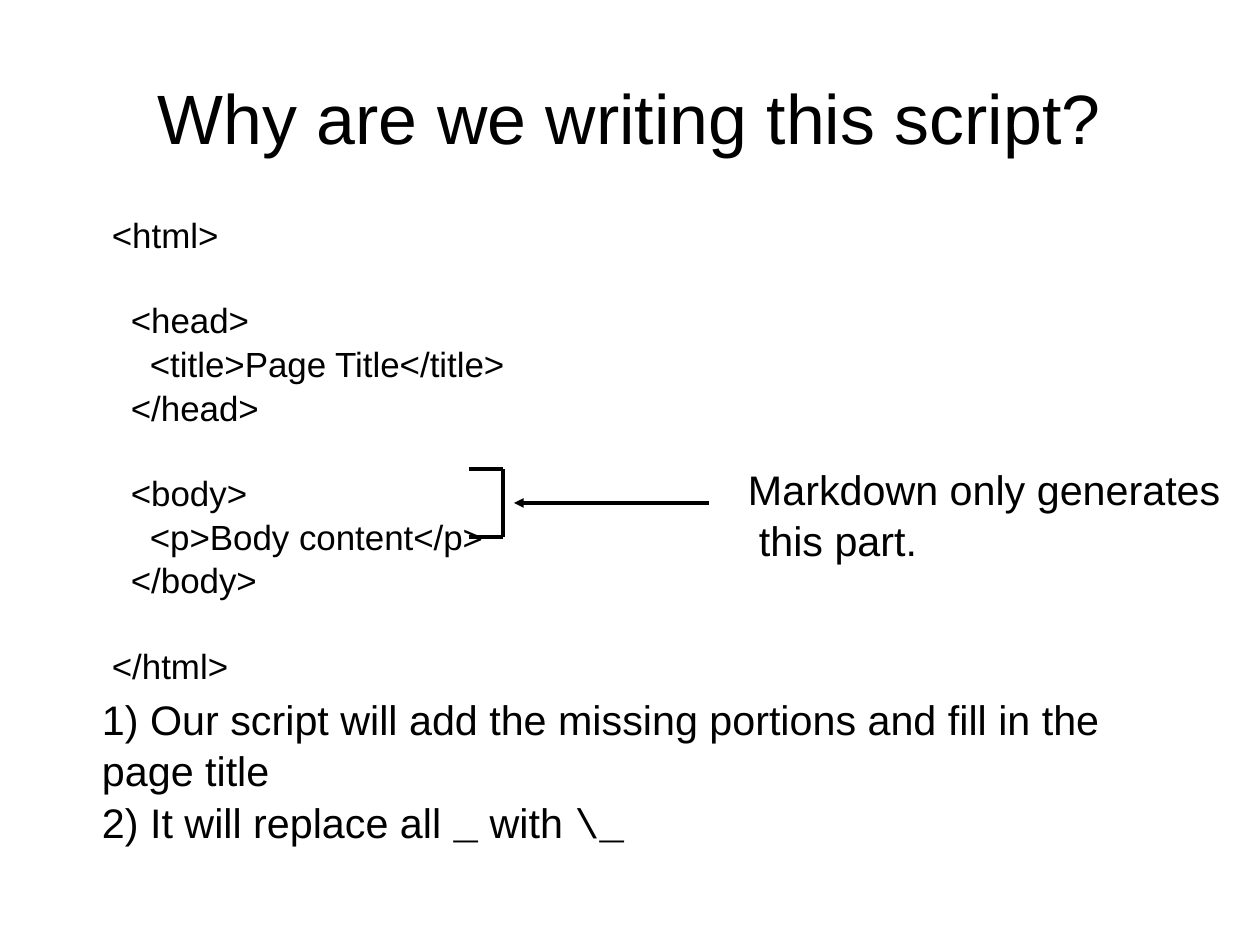
from pptx import Presentation
from pptx.dml.color import RGBColor
from pptx.enum.shapes import MSO_CONNECTOR
from pptx.enum.text import MSO_ANCHOR, MSO_AUTO_SIZE, PP_ALIGN
from pptx.oxml.ns import qn
from pptx.util import Emu, Pt
from lxml import etree

STRAIGHT = MSO_CONNECTOR.STRAIGHT
TOP, MIDDLE = MSO_ANCHOR.TOP, MSO_ANCHOR.MIDDLE
GROW = MSO_AUTO_SIZE.SHAPE_TO_FIT_TEXT
LEFT, CENTER = PP_ALIGN.LEFT, PP_ALIGN.CENTER

BLACK = RGBColor(0, 0, 0)
WHITE = RGBColor(255, 255, 255)
SANS, MONO = "Arial", "Courier New"
TITLE_PT, CODE_PT, BODY_PT = 44, 22, 26
LINE_SPACING = 1.04
BLANK_LINE = 1.2  # height of a line relative to its font size
SCALE = 914400 / 114.3


def px(n):
    """Turn pixels into EMU."""
    return Emu(round(n * SCALE))


class Deck:
    """Holds the style and the current slide."""

    def __init__(self, width, height):
        """Start a one-slide presentation with title and body."""
        self.prs = Presentation()
        self.prs.slide_width, self.prs.slide_height = px(width), px(height)
        self.s = self.prs.slides.add_slide(self.prs.slide_layouts[1])
        self.s.background.fill.solid()
        self.s.background.fill.fore_color.rgb = WHITE

    def place(self, sp, box):
        """Move a shape to a left, top, width, height box."""
        sp.left, sp.top, sp.width, sp.height = map(px, box)

    def frame(self, tf, inset=(11, 6), anchor=TOP, wrap=True):
        """Set the margins, anchor and wrapping of a text frame."""
        tf.margin_left = tf.margin_right = px(inset[0])
        tf.margin_top = tf.margin_bottom = px(inset[1])
        tf.vertical_anchor = anchor
        tf.word_wrap = wrap
        tf.auto_size = GROW

    def paragraph(self, tf, i, runs, size, align=LEFT, indent=0, before=0,
                  spacing=LINE_SPACING):
        """Write paragraph i from (text, font) runs."""
        p = tf.add_paragraph() if i else tf.paragraphs[0]
        p.alignment = align
        p.line_spacing = spacing
        p.space_before, p.space_after = Pt(before), Pt(0)
        pPr = p._p.get_or_add_pPr()
        pPr.set("marL", str(px(indent)))
        pPr.set("indent", "0")
        etree.SubElement(pPr, qn("a:buNone"))
        for text, font in runs:
            r = p.add_run()
            r.text = text
            r.font.name, r.font.size = font, Pt(size)
            r.font.color.rgb = BLACK

    def title(self, box, text):
        """Fill the title placeholder."""
        sp = self.s.shapes.title
        self.place(sp, box)
        self.frame(sp.text_frame, (0, 0), MIDDLE)
        self.paragraph(sp.text_frame, 0, [(text, SANS)], TITLE_PT, CENTER,
                       spacing=1.0)

    def body(self, box, items):
        """Fill the body placeholder, one list of runs per item."""
        sp = self.s.placeholders[1]
        self.place(sp, box)
        self.frame(sp.text_frame)
        for i, runs in enumerate(items):
            self.paragraph(sp.text_frame, i, runs, BODY_PT)

    def text(self, box, lines, size, wrap=True):
        """Add a text box from (text, indent, blank lines before) rows."""
        tf = self.s.shapes.add_textbox(*map(px, box)).text_frame
        self.frame(tf, wrap=wrap)
        for i, (text, indent, blanks) in enumerate(lines):
            self.paragraph(tf, i, [(text, SANS)], size, indent=indent,
                           before=blanks * size * BLANK_LINE)

    def line(self, start, end, arrow=False):
        """Add a hairline, with an arrowhead at its end if asked."""
        c = self.s.shapes.add_connector(STRAIGHT, *map(px, start + end))
        c.line.color.rgb = BLACK
        c.line.width = Pt(0)
        if arrow:
            etree.SubElement(c.line._get_or_add_ln(), qn("a:tailEnd"),
                             type="triangle")
        etree.SubElement(c._element.spPr, qn("a:effectLst"))


STEP = 19  # indent of one nesting level
CODE = [
    ("<html>", 0, 0),
    ("<head>", STEP, 1),
    ("<title>Page Title</title>", 2 * STEP, 0),
    ("</head>", STEP, 0),
    ("<body>", STEP, 1),
    ("<p>Body content</p>", 2 * STEP, 0),
    ("</body>", STEP, 0),
    ("</html>", 0, 1),
]
REMARK = [("Markdown only generates", 0, 0), ("this part.", 11, 0)]
TASKS = [
    [("1) Our script will add the missing portions and fill in the page title",
      SANS)],
    [("2) It will replace all ", SANS), ("_", MONO), (" with ", SANS),
     ("\\_", MONO)],
]
BRACKET = [(469, 469), (503, 469), (503, 537), (469, 537)]

deck = Deck(1260, 945)
deck.title((63, 38, 1134, 158), "Why are we writing this script?")
deck.text((101, 206, 505, 441), CODE, CODE_PT)
deck.line((709, 503), (514, 503), arrow=True)
deck.text((737, 456, 497, 104), REMARK, BODY_PT, wrap=False)
for start, end in zip(BRACKET, BRACKET[1:]):
    deck.line(start, end)
deck.body((91, 686, 1109, 217), TASKS)
deck.prs.save("out.pptx")
